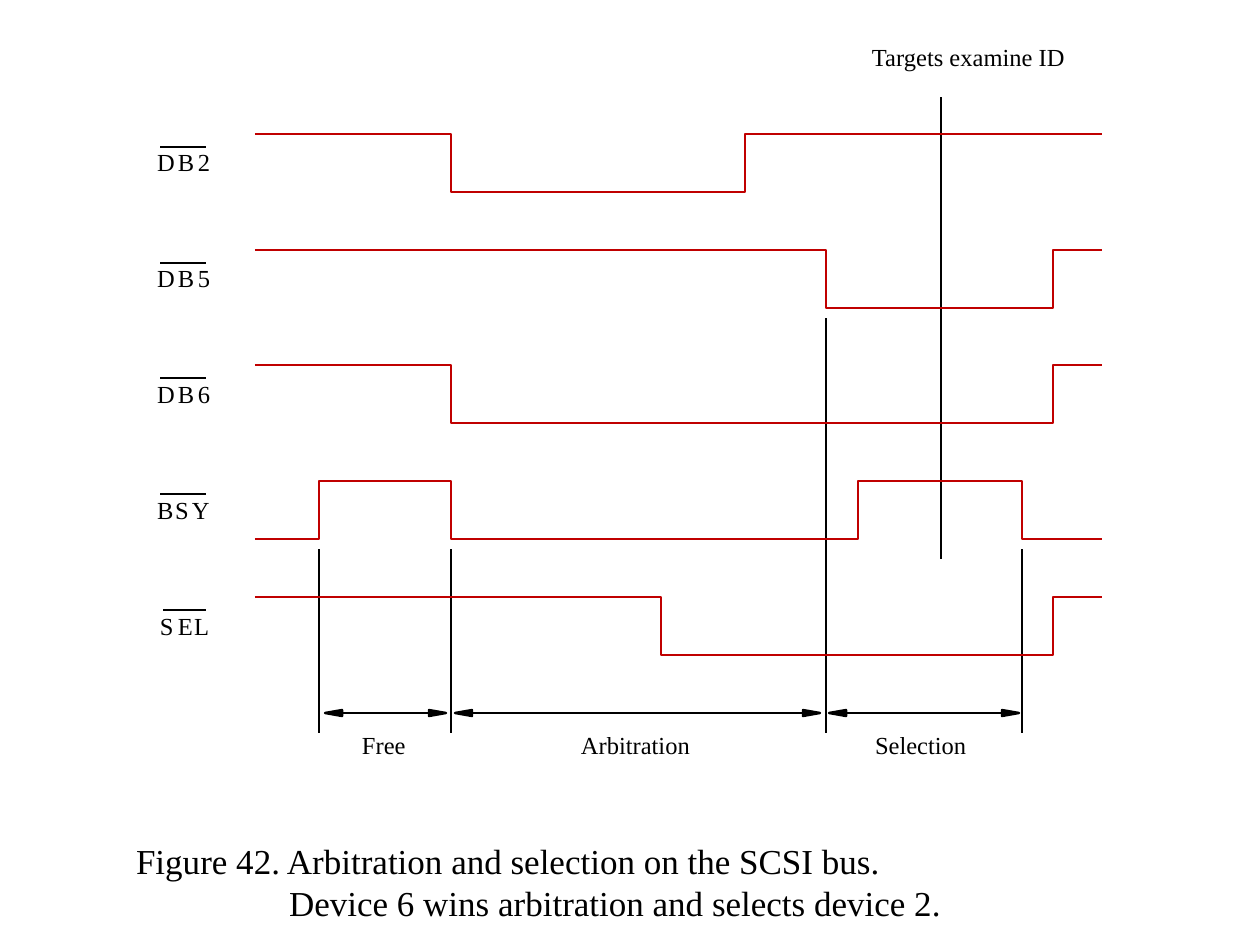
"""Build the bus arbitration and selection timing diagram."""
from lxml.etree import SubElement
from pptx import Presentation
from pptx.dml.color import RGBColor
from pptx.enum.shapes import MSO_CONNECTOR
from pptx.oxml.ns import qn
from pptx.util import Emu, Pt

SCALE = 914400 / 126
BLACK = RGBColor.from_string("000000")
RED = RGBColor.from_string("C00000")
LINE_WIDTH = Pt(1.39)

presentation = Presentation()
presentation.slide_width = Emu(round(1260 * SCALE))
presentation.slide_height = Emu(round(945 * SCALE))
slide = presentation.slides.add_slide(presentation.slide_layouts[6])


def add_line(*ends):
    connector = slide.shapes.add_connector(
        MSO_CONNECTOR.STRAIGHT, *[Emu(round(end * SCALE)) for end in ends])
    connector.line.color.rgb = BLACK
    connector.line.width = LINE_WIDTH
    SubElement(connector._element.spPr, qn("a:effectLst"))


def add_text(text, left, top, width, height, size):
    box = slide.shapes.add_textbox(
        *[Emu(round(length * SCALE)) for length in (left, top, width, height)])
    frame = box.text_frame
    frame.margin_left = frame.margin_right = frame.margin_top = frame.margin_bottom = 0
    frame.word_wrap = True
    frame.text = text
    for paragraph in frame.paragraphs:
        for run in paragraph.runs:
            run.font.name = "Times New Roman"
            run.font.size = Pt(size)
            run.font.color.rgb = BLACK
    return frame


for x, top, bottom in [(319, 549, 733), (451, 549, 733), (826, 318, 733),
                       (1022, 549, 733), (941, 97, 559)]:
    add_line(x, bottom, x, top)

phases = [("Free", 325, 446, 362, 46), ("Arbitration", 455, 820, 581, 111),
          ("Selection", 829, 1019, 875, 93)]
for name, start, end, left, width in phases:
    for tip, base in [(start, start + 17), (end, end - 17)]:
        builder = slide.shapes.build_freeform(base, 710, scale=SCALE)
        builder.add_line_segments([(tip, 713), (base, 716)], close=True)
        arrowhead = builder.convert_to_shape()
        arrowhead.shadow.inherit = False
        arrowhead.fill.solid()
        arrowhead.fill.fore_color.rgb = BLACK
        arrowhead.line.color.rgb = BLACK
        arrowhead.line.width = LINE_WIDTH
    add_line(end - 17, 713, start + 17, 713)
    add_text(name, left, 730, width, 29, 14)

add_text("Targets examine ID", 872, 42, 198, 29, 14)

data_offsets = [157, 178, 198]
signals = [("DB2", data_offsets, 134, True, [451, 745]),
           ("DB5", data_offsets, 250, True, [826, 1053]),
           ("DB6", data_offsets, 365, True, [451, 1053]),
           ("BSY", [157, 175, 192], 481, False, [319, 451, 858, 1022]),
           ("SEL", [160, 178, 194], 597, True, [661, 1053])]
for row, (name, offsets, high, is_high, edges) in enumerate(signals):
    low = high + 58
    level = high if is_high else low
    builder = slide.shapes.build_freeform(255, level, scale=SCALE)
    points = []
    for edge in edges:
        points.append((edge, level))
        level = low if level == high else high
        points.append((edge, level))
    builder.add_line_segments(points + [(1102, level)], close=False)
    waveform = builder.convert_to_shape()
    waveform.shadow.inherit = False
    waveform.fill.background()
    waveform.line.color.rgb = RED
    waveform.line.width = LINE_WIDTH

    for letter, left in zip(name, offsets):
        add_text(letter, left, 147 + row * 116, 18, 29, 14)
    add_line(206, high + 13, offsets[0] + 3, high + 13)

caption = add_text("Figure 42. Arbitration and selection on the SCSI bus.\n"
                   "Device 6 wins arbitration and selects device 2.", 136, 840, 1029, 84, 20)
caption.paragraphs[1]._p.get_or_add_pPr().set("marL", str(round(153 * SCALE)))

presentation.save("out.pptx")
